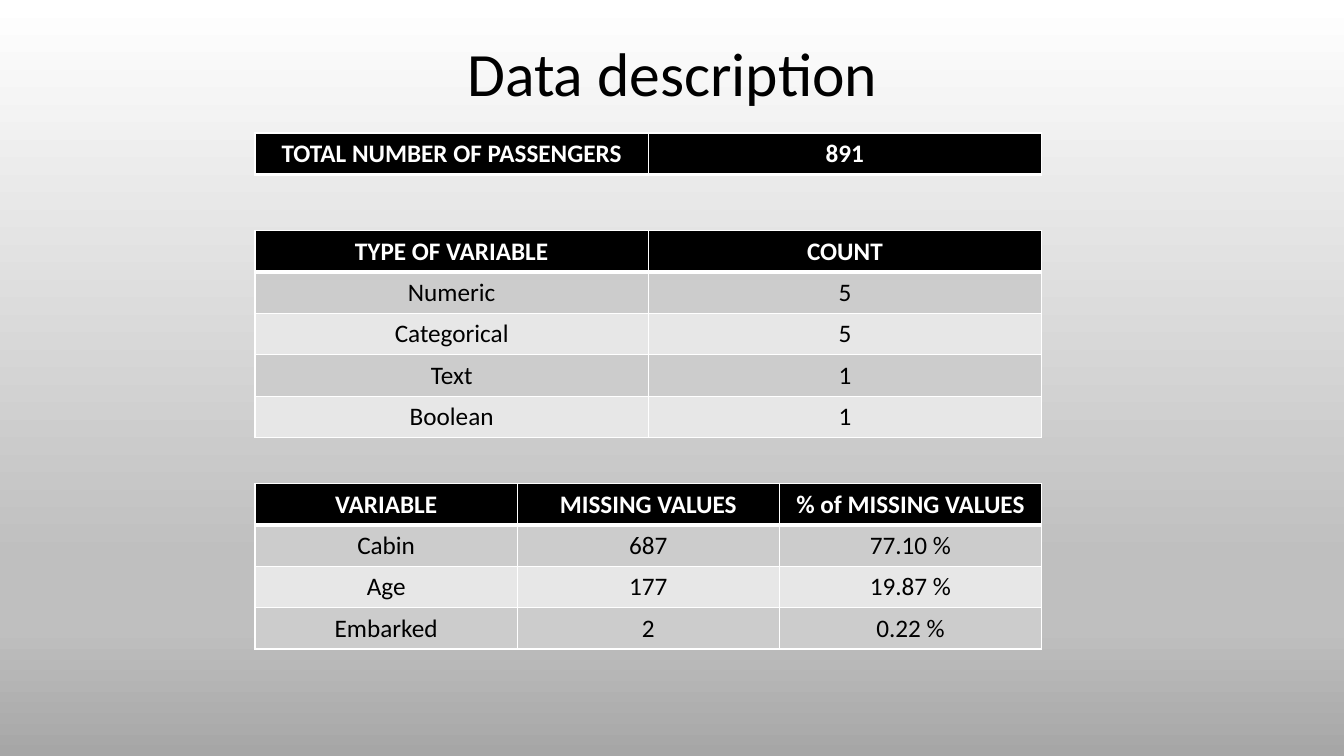
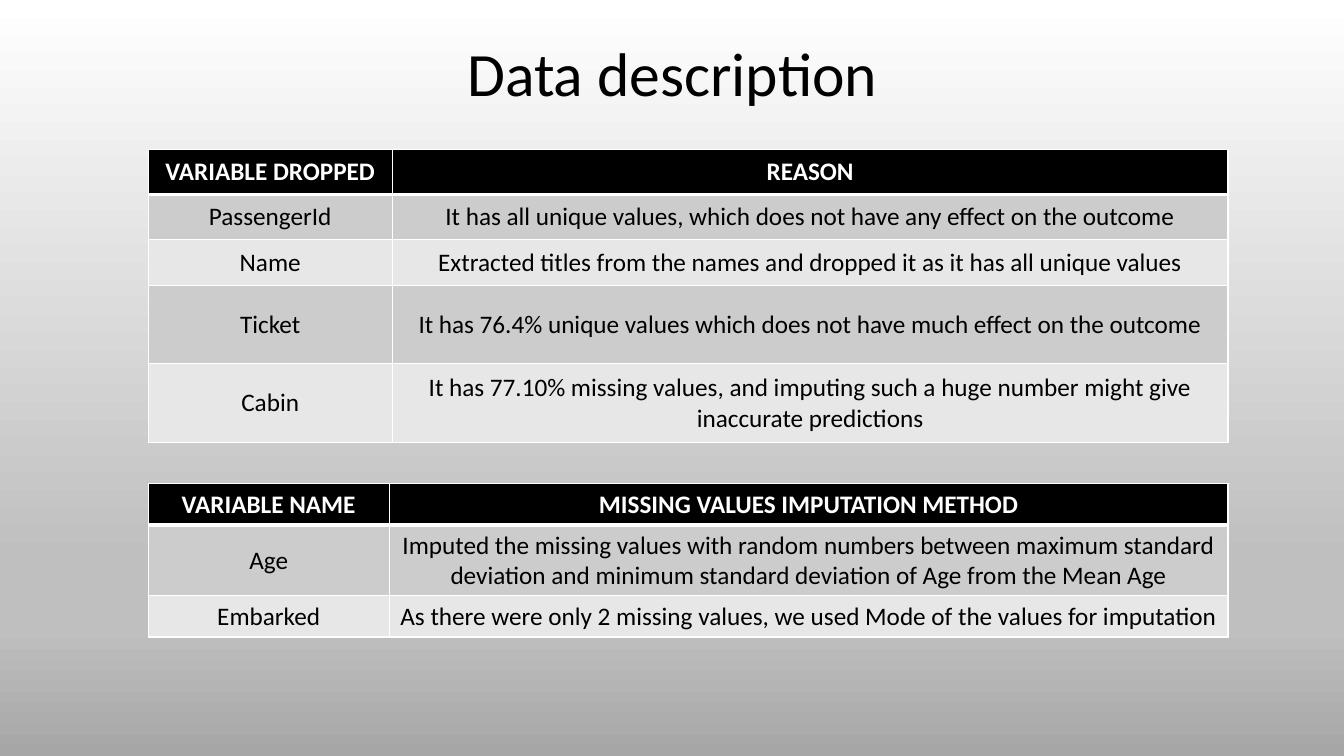
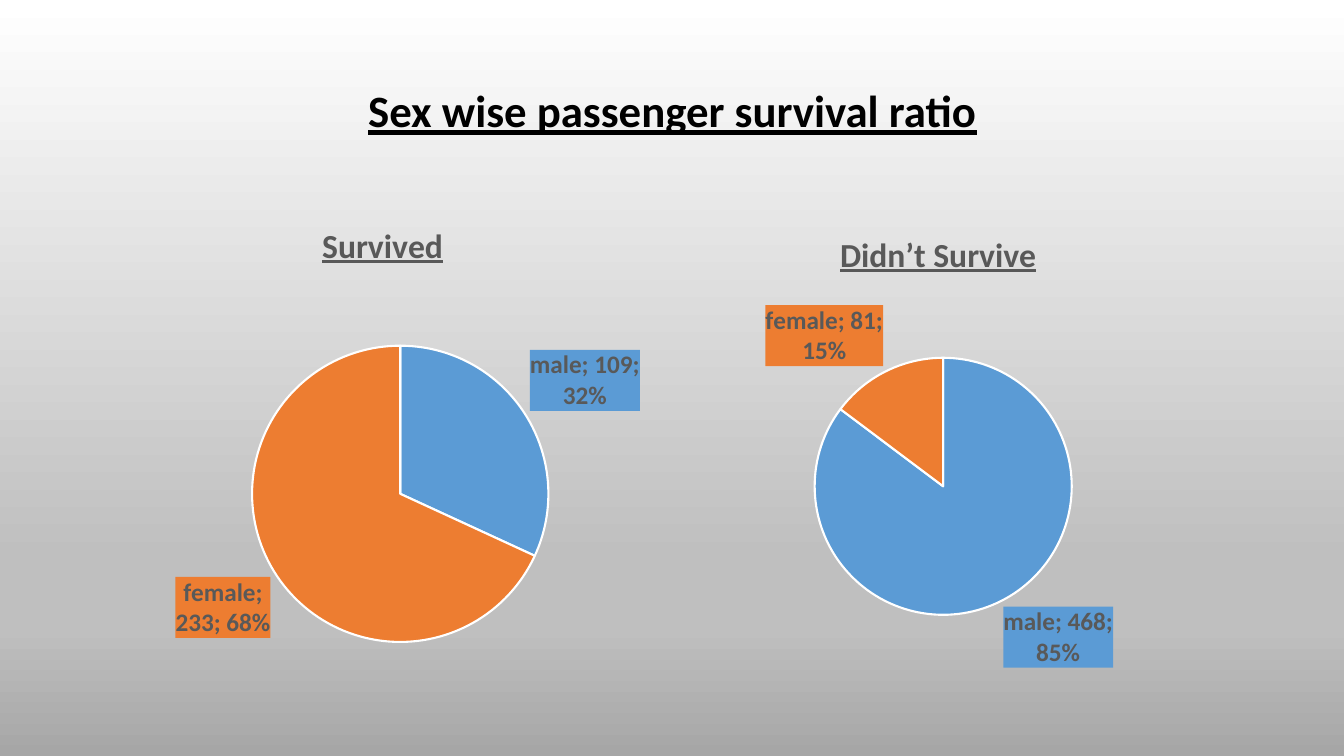
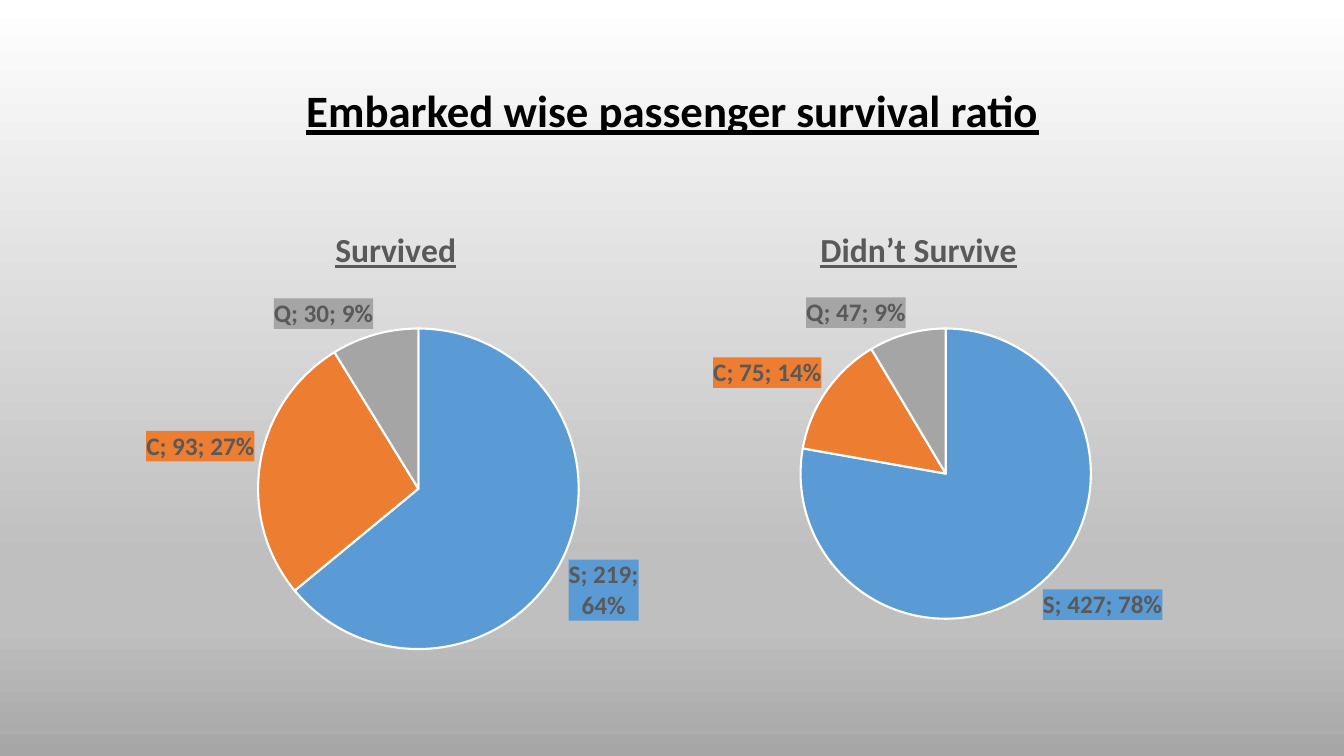
from pptx import Presentation
from pptx.chart.data import CategoryChartData
from pptx.dml.color import RGBColor
from pptx.enum.chart import XL_CHART_TYPE, XL_LABEL_POSITION
from pptx.enum.text import MSO_ANCHOR, PP_ALIGN
from pptx.oxml import parse_xml
from pptx.oxml.ns import nsdecls, qn
from pptx.util import Inches, Pt

PIE = XL_CHART_TYPE.PIE
OUTSIDE_END = XL_LABEL_POSITION.OUTSIDE_END
MIDDLE = MSO_ANCHOR.MIDDLE
CENTER = PP_ALIGN.CENTER

FONT = "Calibri"
BLACK = RGBColor(0x00, 0x00, 0x00)
WHITE = RGBColor(0xFF, 0xFF, 0xFF)
DARK_BAND = RGBColor(0xCC, 0xCC, 0xCC)
LIGHT_BAND = RGBColor(0xE7, 0xE7, 0xE7)
SILVER = RGBColor(0xBF, 0xBF, 0xBF)
STEEL = RGBColor(0xA6, 0xA6, 0xA6)
LABEL_GRAY = RGBColor(0x59, 0x59, 0x59)
SLICE_COLORS = [
    RGBColor(0x5B, 0x9B, 0xD5),
    RGBColor(0xED, 0x7D, 0x31),
    RGBColor(0xA5, 0xA5, 0xA5),
]
BACKGROUND_STOPS = [(0, WHITE), (74, SILVER), (83, SILVER), (100, STEEL)]

ROW = 0.41


def style_font(font, size, color, bold=False, underline=False):
    font.name = FONT
    font.size = Pt(size)
    font.color.rgb = color
    font.bold = bold
    font.underline = underline


def paint_background(master):
    fill = master.background.fill
    fill.gradient()
    fill.gradient_angle = 270
    stops = "".join(
        f'<a:gs pos="{percent * 1000}"><a:srgbClr val="{color}"/></a:gs>'
        for percent, color in BACKGROUND_STOPS
    )
    default_stops = next(master.element.iter(qn("a:gsLst")))
    default_stops.getparent().replace(
        default_stops, parse_xml(f'<a:gsLst {nsdecls("a")}>{stops}</a:gsLst>')
    )


def add_title(slide, wording, top, size, emphasis=False):
    title = slide.shapes.add_textbox(
        Inches(0.92), Inches(top), Inches(11.5), Inches(1.45)
    )
    frame = title.text_frame
    frame.word_wrap = True
    frame.vertical_anchor = MIDDLE
    frame.text = wording
    line = frame.paragraphs[0]
    line.alignment = CENTER
    line.line_spacing = 0.9
    style_font(line.runs[0].font, size, BLACK, emphasis, emphasis)


def add_borders(cell_element, row):
    widths = {
        "lnL": 1,
        "lnR": 1,
        "lnT": 3 if row == 1 else 1,
        "lnB": 3 if row == 0 else 1,
    }
    for edge, width in widths.items():
        cell_element.tcPr.append(parse_xml(
            f'<a:{edge} {nsdecls("a")} w="{Pt(width)}"><a:solidFill>'
            f'<a:srgbClr val="{WHITE}"/></a:solidFill></a:{edge}>'
        ))


def add_data_table(slide, left, top, widths, heights, rows):
    frame = slide.shapes.add_table(
        len(rows), len(widths), Inches(left), Inches(top),
        Inches(sum(widths)), Inches(sum(heights)),
    )
    table = frame.table
    for column, width in zip(table.columns, widths):
        column.width = Inches(width)
    for table_row, height in zip(table.rows, heights):
        table_row.height = Inches(height)
    cell_elements = frame.element.iter(qn("a:tc"))
    for index, (cell, element) in enumerate(zip(table.iter_cells(), cell_elements)):
        row, column = divmod(index, len(widths))
        header = row == 0
        add_borders(element, row)
        cell.fill.solid()
        band = DARK_BAND if row % 2 else LIGHT_BAND
        cell.fill.fore_color.rgb = BLACK if header else band
        cell.vertical_anchor = MIDDLE
        cell.text_frame.text = rows[row][column]
        line = cell.text_frame.paragraphs[0]
        line.alignment = CENTER
        style_font(line.runs[0].font, 18, WHITE if header else BLACK, header)


def place_pie(chart, box, circle):
    left, top, width, height = box
    pie_left, pie_top, diameter = circle
    fractions = {
        "x": (pie_left - left) / width,
        "y": (pie_top - top) / height,
        "w": diameter / width,
        "h": diameter / height,
    }
    places = "".join(
        f'<c:{key} val="{value:.4f}"/>' for key, value in fractions.items()
    )
    plot_area = next(chart.element.iter(qn("c:plotArea")))
    for layout in plot_area.findall(qn("c:layout")):
        plot_area.remove(layout)
    plot_area.insert(0, parse_xml(
        f'<c:layout {nsdecls("c")}><c:manualLayout><c:layoutTarget val="inner"/>'
        f'<c:xMode val="edge"/><c:yMode val="edge"/>{places}'
        "</c:manualLayout></c:layout>"
    ))


def label_slices(chart, count):
    labels = chart.plots[0].series[0].data_labels
    labels.show_value = True
    labels.show_category_name = True
    labels.show_percentage = True
    labels.position = OUTSIDE_END
    style_font(labels.font, 18, LABEL_GRAY, True)
    label_list = next(chart.element.iter(qn("c:dLbls")))
    for index in range(count):
        label_list.insert(index, parse_xml(
            f'<c:dLbl {nsdecls("c", "a")}><c:idx val="{index}"/>'
            f'<c:spPr><a:solidFill><a:srgbClr val="{SLICE_COLORS[index]}"/>'
            "</a:solidFill></c:spPr><c:txPr><a:bodyPr/><a:p><a:pPr>"
            f'<a:defRPr sz="1800" b="1"><a:solidFill><a:srgbClr val="{LABEL_GRAY}"/>'
            f'</a:solidFill><a:latin typeface="{FONT}"/></a:defRPr></a:pPr>'
            '<a:endParaRPr lang="en-US"/></a:p></c:txPr>'
            '<c:dLblPos val="outEnd"/><c:showLegendKey val="0"/>'
            '<c:showVal val="1"/><c:showCatName val="1"/><c:showSerName val="0"/>'
            '<c:showPercent val="1"/><c:showBubbleSize val="0"/>'
            "<c:separator>; </c:separator></c:dLbl>"
        ))


def add_pie(slide, heading, box, circle, categories, counts):
    data = CategoryChartData()
    data.categories = categories
    data.add_series("Series 1", counts)
    chart = slide.shapes.add_chart(PIE, *map(Inches, box), data).chart
    chart.font.name = FONT
    chart.font.size = Pt(10)
    chart.font.color.rgb = BLACK
    chart.has_legend = False
    chart.has_title = True
    chart.chart_title.text_frame.text = heading
    heading_run = chart.chart_title.text_frame.paragraphs[0].runs[0]
    style_font(heading_run.font, 24, LABEL_GRAY, True, True)
    plot = chart.plots[0]
    plot.vary_by_categories = True
    series = plot.series[0]
    for index in range(len(counts)):
        slice_format = series.points[index].format
        slice_format.fill.solid()
        slice_format.fill.fore_color.rgb = SLICE_COLORS[index]
        slice_format.line.color.rgb = WHITE
        slice_format.line.width = Pt(1.5)
    label_slices(chart, len(counts))
    place_pie(chart, box, circle)


def build_table_slide(slide, tables):
    add_title(slide, "Data description", 0.03, 44)
    for table in tables:
        add_data_table(slide, *table)


def build_survival_slide(slide, wording, categories, survived, lost):
    add_title(slide, wording, 0.4, 32, True)
    add_pie(slide, "Survived", *survived[:2], categories, survived[2])
    add_pie(slide, "Didn’t Survive", *lost[:2], categories, lost[2])


OVERVIEW_TABLES = [
    (2.53, 1.32, [3.9] * 2, [ROW], [("TOTAL NUMBER OF PASSENGERS", "891")]),
    (2.53, 2.29, [3.9] * 2, [ROW] * 5, [
        ("TYPE OF VARIABLE", "COUNT"),
        ("Numeric", "5"),
        ("Categorical", "5"),
        ("Text", "1"),
        ("Boolean", "1"),
    ]),
    (2.53, 4.8, [2.6] * 3, [ROW] * 4, [
        ("VARIABLE", "MISSING VALUES", "% of MISSING VALUES"),
        ("Cabin", "687", "77.10 %"),
        ("Age", "177", "19.87 %"),
        ("Embarked", "2", "0.22 %"),
    ]),
]

CLEANING_TABLES = [
    (1.47, 1.48, [2.42, 8.29], [0.45] * 3 + [0.78] * 2, [
        ("VARIABLE DROPPED", "REASON"),
        ("PassengerId",
         "It has all unique values, which does not have any effect on the outcome"),
        ("Name",
         "Extracted titles from the names and dropped it as it has all unique values"),
        ("Ticket",
         "It has 76.4% unique values which does not have much effect on the outcome"),
        ("Cabin",
         "It has 77.10% missing values, and imputing such a huge number might give "
         "inaccurate predictions"),
    ]),
    (1.47, 4.8, [2.39, 8.32], [ROW, 0.7, ROW], [
        ("VARIABLE NAME", "MISSING VALUES IMPUTATION METHOD"),
        ("Age",
         "Imputed the missing values with random numbers between maximum standard "
         "deviation and minimum standard deviation of Age from the Mean Age"),
        ("Embarked",
         "As there were only 2 missing values, we used Mode of the values for imputation"),
    ]),
]

prs = Presentation()
prs.slide_width = Inches(13.33)
prs.slide_height = Inches(7.5)
paint_background(prs.slide_master)
overview, cleaning, by_sex, by_port = (
    prs.slides.add_slide(prs.slide_layouts[6]) for _ in range(4)
)
build_table_slide(overview, OVERVIEW_TABLES)
build_table_slide(cleaning, CLEANING_TABLES)
build_survival_slide(
    by_sex, "Sex wise passenger survival ratio", ["male", "female"],
    ((0.92, 2, 5.75, 4.76), (2.5, 3.43, 2.94), [109, 233]),
    ((5.98, 2.09, 6.65, 4.72), (8.08, 3.55, 2.55), [468, 81]),
)
build_survival_slide(
    by_port, "Embarked wise passenger survival ratio", ["S", "C", "Q"],
    ((0.8, 2.05, 6.25, 4.68), (2.56, 3.26, 3.18), [219, 93, 30]),
    ((5.8, 2.05, 6.62, 4.68), (7.94, 3.26, 2.88), [427, 75, 47]),
)
prs.save("out.pptx")
